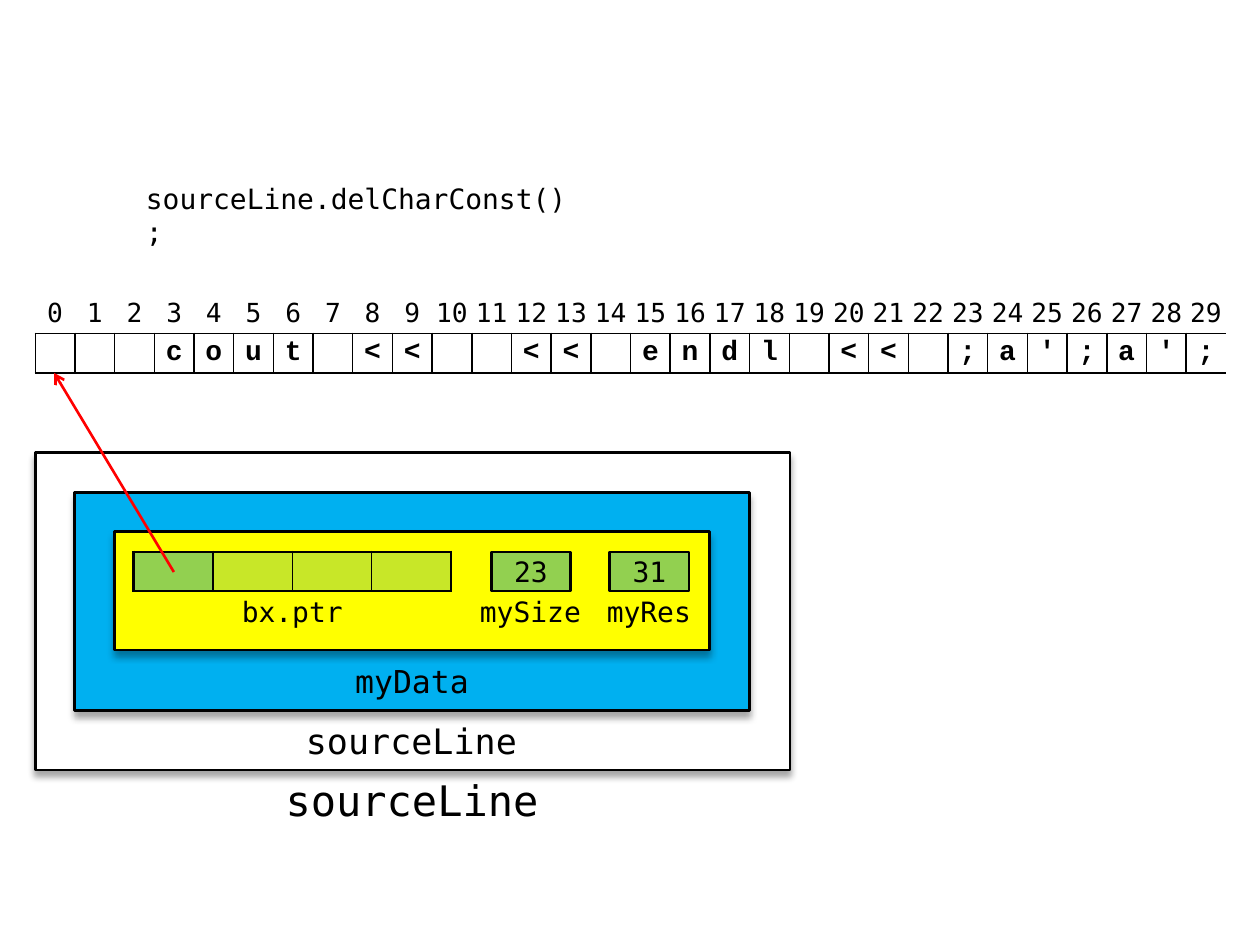
from dataclasses import dataclass

from lxml import etree
from pptx import Presentation
from pptx.dml.color import RGBColor as RGB
from pptx.enum.shapes import MSO_CONNECTOR as CONN, MSO_SHAPE as SHAPE
from pptx.enum.text import MSO_ANCHOR as ANCHOR, PP_ALIGN as ALIGN
from pptx.oxml.ns import qn
from pptx.util import Inches, Pt


@dataclass(frozen=True)
class Theme:
    black: str = "000000"
    white: str = "FFFFFF"
    blue: str = "00B0F0"
    yellow: str = "FFFF00"
    green: str = "92D050"
    red: str = "FF0000"
    mono: str = "DejaVu Sans Mono"
    code: str = "Courier New"
    thin: float = 1
    thick: float = 1.5
    index: int = 15
    body: int = 16
    member: int = 18
    inner: int = 20
    outer: int = 24


NO_STYLE = "{2D5ABB26-0587-4C30-8999-92F81FD0307C}"


class Board:
    def __init__(self, slide, theme):
        self.slide, self.theme = slide, theme

    def set_text(self, tf, text, size, align=ALIGN.CENTER, font=None, bold=False):
        p = tf.paragraphs[0]
        p.alignment = align
        p.font.size = Pt(size)
        p.font.name = font or self.theme.mono
        p.font.bold = bold
        p.font.color.rgb = RGB.from_string(self.theme.black)
        if text:
            p.add_run().text = text
        return p

    def box(self, x, y, w, h, fill, kind=SHAPE.RECTANGLE, text="", shadow=False):
        s = self.slide.shapes.add_shape(kind, Inches(x), Inches(y), Inches(w), Inches(h))
        s.shadow.inherit = False
        s.fill.solid()
        s.fill.fore_color.rgb = RGB.from_string(fill)
        s.line.color.rgb = RGB.from_string(self.theme.black)
        s.line.width = Pt(self.theme.thick)
        if shadow:
            effects = s._element.spPr.find(qn("a:effectLst"))
            outer = etree.SubElement(effects, qn("a:outerShdw"), blurRad=str(Pt(4)),
                                     dist=str(Pt(3)), dir="5400000", rotWithShape="0")
            color = etree.SubElement(outer, qn("a:srgbClr"), val=self.theme.black)
            etree.SubElement(color, qn("a:alpha"), val="35000")
        if text:
            s.text_frame.vertical_anchor = ANCHOR.MIDDLE
            self.set_text(s.text_frame, text, self.theme.body)
        return s

    def label(self, x, y, w, h, text, size):
        tf = self.slide.shapes.add_textbox(
            Inches(x), Inches(y), Inches(w), Inches(h)).text_frame
        tf.word_wrap = True
        tf.vertical_anchor = ANCHOR.MIDDLE
        tf.margin_left = tf.margin_right = tf.margin_top = tf.margin_bottom = 0
        self.set_text(tf, text, size)

    def statement(self, x, y, w, h, text):
        tf = self.slide.shapes.add_textbox(
            Inches(x), Inches(y), Inches(w), Inches(h)).text_frame
        tf.word_wrap = True
        self.set_text(tf, text, self.theme.body, ALIGN.LEFT).space_before = Pt(2)

    def table(self, x, y, w, h, rows, cols):
        tbl = self.slide.shapes.add_table(
            rows, cols, Inches(x), Inches(y), Inches(w), Inches(h)).table
        tbl.first_row = tbl.horz_banding = False
        tbl._tbl.tblPr.find(qn("a:tableStyleId")).text = NO_STYLE
        for col in tbl.columns:
            col.width = Inches(w / cols)
        for cell in tbl.iter_cells():
            cell.margin_left = cell.margin_right = cell.margin_top = cell.margin_bottom = 0
            cell.vertical_anchor = ANCHOR.MIDDLE
            cell.fill.background()
        return tbl

    def tint(self, cell, color, opacity=100):
        cell.fill.solid()
        cell.fill.fore_color.rgb = RGB.from_string(color)
        if opacity < 100:
            clr = cell._tc.tcPr.find(qn("a:solidFill"))[0]
            etree.SubElement(clr, qn("a:alpha"), val=str(opacity * 1000))

    def borders(self, cell, **widths):
        """Widths in points by side, given in the order L, R, T, B."""
        for i, (side, width) in enumerate(widths.items()):
            ln = etree.Element(qn(f"a:ln{side}"), w=str(Pt(width)))
            fill = etree.SubElement(ln, qn("a:solidFill"))
            etree.SubElement(fill, qn("a:srgbClr"), val=self.theme.black)
            cell._tc.get_or_add_tcPr().insert(i, ln)

    def arrow(self, x1, y1, x2, y2):
        s = self.slide.shapes.add_connector(
            CONN.STRAIGHT, Inches(x1), Inches(y1), Inches(x2), Inches(y2))
        s.line.color.rgb = RGB.from_string(self.theme.red)
        s.line.width = Pt(self.theme.thick)
        ln = s._element.spPr.find(qn("a:ln"))
        etree.SubElement(ln, qn("a:tailEnd"), type="arrow")
        etree.SubElement(s._element.spPr, qn("a:effectLst"))


def main():
    prs = Presentation()
    prs.slide_width, prs.slide_height = Inches(10), Inches(7.5)
    t = Theme()
    board = Board(prs.slides.add_slide(prs.slide_layouts[6]), t)

    board.statement(1.06, 1.39, 3.62, 0.47, "sourceLine.delCharConst();")

    # Nested object boxes
    for x, y, w, h, fill in ((0.28, 3.59, 5.99, 2.52, t.white),
                             (0.59, 3.91, 5.36, 1.73, t.blue),
                             (0.91, 4.22, 4.72, 0.94, t.yellow)):
        board.box(x, y, w, h, fill, SHAPE.FLOWCHART_PROCESS, shadow=True)
    for x, y, w, text, size in ((2.01, 6.11, 2.52, "sourceLine", t.outer),
                                (2.32, 5.64, 1.89, "sourceLine", t.inner),
                                (2.64, 5.17, 1.26, "myData", t.member)):
        board.label(x, y, w, 0.47, text, size)

    # Data members
    for x, value in ((3.9, "23"), (4.84, "31")):
        board.box(x, 4.38, 0.63, 0.31, t.green, text=value)
    for x, name in ((1.85, "bx.ptr"), (3.74, "mySize"), (4.68, "myRes")):
        board.label(x, 4.7, 0.94, 0.31, name, t.body)

    # Four bytes of the union, the first one holding the pointer
    union = board.table(1.06, 4.38, 2.52, 0.31, 1, 4)
    for i in range(4):
        cell = union.cell(0, i)
        board.set_text(cell.text_frame, "", t.body)
        board.tint(cell, t.green, 50 if i else 100)
        board.borders(cell, L=t.thin if i else t.thick, R=t.thick if i == 3 else t.thin,
                      T=t.thick, B=t.thick)

    # Character buffer with its indexes
    chars = "   cout <<  << endl << ;a';a';"
    buffer = board.table(0.28, 2.33, 9.45, 0.63, 2, len(chars))
    for i, char in enumerate(chars):
        index, cell = buffer.cell(0, i), buffer.cell(1, i)
        board.set_text(index.text_frame, str(i), t.index)
        board.borders(index, B=t.thin)
        board.set_text(cell.text_frame, char.strip(), t.body, font=t.code, bold=True)
        sides = "LRTB" if i < len(chars) - 1 else "LTB"
        board.borders(cell, **dict.fromkeys(sides, t.thin))

    # Pointer to the buffer
    board.arrow(1.38, 4.54, 0.43, 2.96)

    prs.save("out.pptx")


if __name__ == "__main__":
    main()
